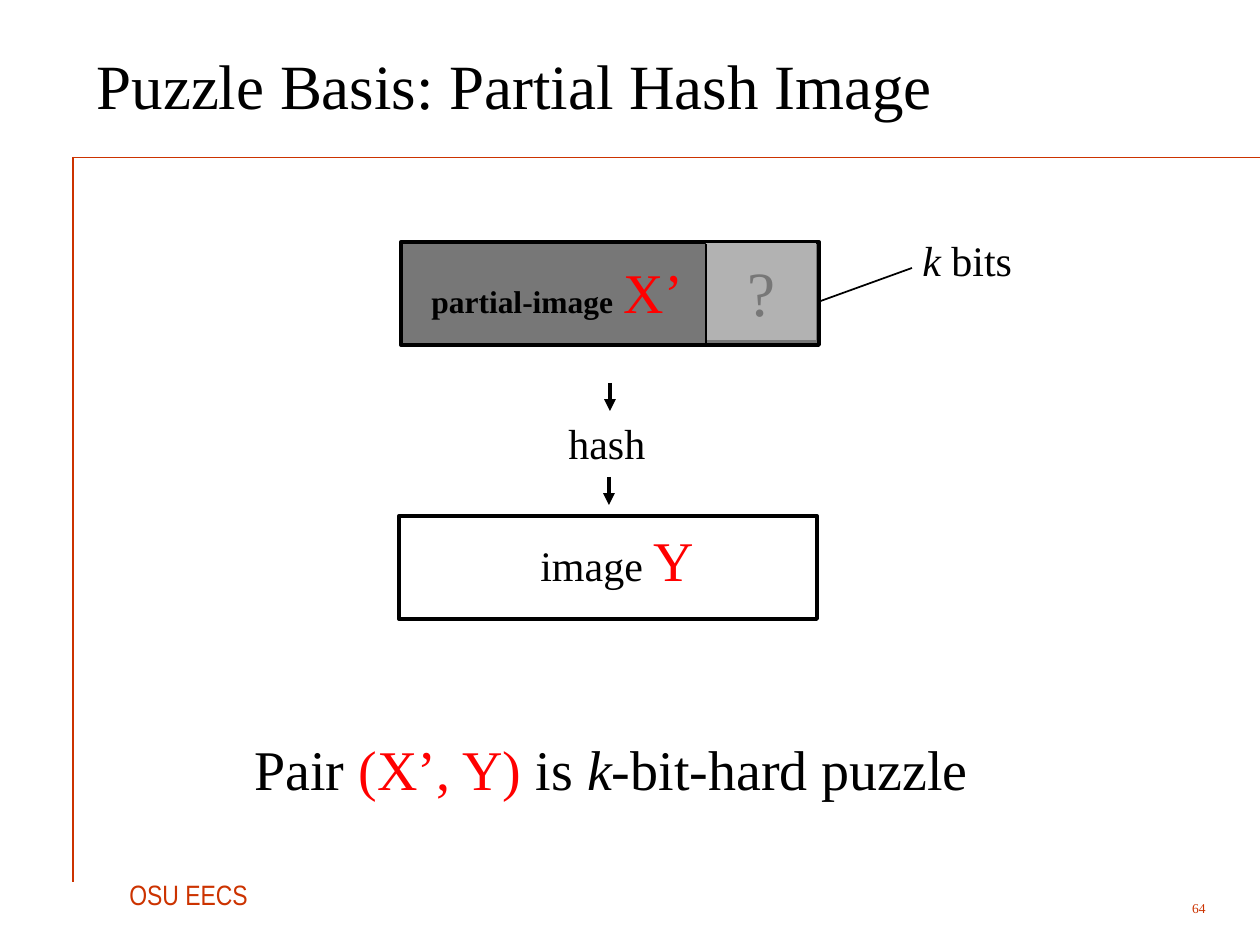
from typing import NamedTuple, Optional

from lxml import etree
from pptx import Presentation
from pptx import util as u
from pptx.dml.color import RGBColor
from pptx.enum import shapes, text
from pptx.oxml.ns import qn

PX = 914400 / 126  # EMU in one px
SERIF, NARROW = "Times New Roman", "Arial Narrow"
BLACK = RGBColor(0x00, 0x00, 0x00)
RED = RGBColor(0xFF, 0x00, 0x00)
RUST = RGBColor(0xCC, 0x33, 0x00)
DARK_GRAY = RGBColor(0x77, 0x77, 0x77)
LIGHT_GRAY = RGBColor(0xB2, 0xB2, 0xB2)


class Run(NamedTuple):
    words: str
    size: float
    color: RGBColor = BLACK
    bold: bool = False
    italic: bool = False


class Label(NamedTuple):
    place: tuple[int, int, int, int]
    runs: list[Run]
    font: str = SERIF


class Line(NamedTuple):
    start: tuple[int, int]
    end: tuple[int, int]
    width: float = 1
    color: RGBColor = BLACK
    arrow: bool = False


class Box(NamedTuple):
    place: tuple[int, int, int, int]
    fill: Optional[RGBColor] = None
    border: float = 0


RULES = [
    Line((73, 157), (1260, 157), 0.25, RUST),
    Line((73, 157), (73, 882), 0.75, RUST),
]
IMAGE_BOX = Box((399, 516, 418, 103), border=2.25)
PREIMAGE_BOX = Box((401, 242, 418, 103), DARK_GRAY, 2.25)
UNKNOWN_BOX = Box((706, 243, 110, 97), LIGHT_GRAY)
DIAGRAM_LINES = [
    Line((610, 383), (610, 411), 2.25, arrow=True),
    Line((609, 477), (609, 505), 2.25, arrow=True),
    Line((706, 244), (706, 343)),
    Line((818, 302), (912, 268)),
]
LABELS = [
    Label((117, 871, 162, 47), [Run("OSU EECS", 16, RUST)], NARROW),
    Label((556, 411, 114, 63), [Run("hash", 24)]),
    Label((528, 519, 191, 81), [Run("image ", 24), Run("Y", 32, RED)]),
    Label((419, 251, 300, 81),
          [Run("partial-image", 18, bold=True), Run(" ", 24), Run("X’", 32, RED)]),
    Label((910, 228, 127, 63), [Run("k", 24, italic=True), Run(" bits", 24)]),
    Label((242, 728, 760, 81),
          [Run("Pair ", 32), Run("(X’, Y)", 32, RED), Run(" is ", 32),
           Run("k", 32, italic=True), Run("-bit-hard puzzle", 32)]),
]


def emu(*lengths: int) -> list[u.Emu]:
    return [u.Emu(round(length * PX)) for length in lengths]


def format_font(font, name: str, size: float, color: RGBColor) -> None:
    font.name, font.size = name, u.Pt(size)
    font.color.rgb = color


def draw_line(slide, line: Line) -> None:
    connector = slide.shapes.add_connector(
        shapes.MSO_CONNECTOR.STRAIGHT, *emu(*line.start, *line.end))
    connector.line.width = u.Pt(line.width)
    connector.line.color.rgb = line.color
    if line.arrow:
        etree.SubElement(connector.line._get_or_add_ln(), qn("a:tailEnd"), type="triangle")
    etree.SubElement(connector._element.spPr, qn("a:effectLst"))


def draw_box(slide, box: Box):
    rectangle = slide.shapes.add_shape(shapes.MSO_SHAPE.RECTANGLE, *emu(*box.place))
    rectangle.shadow.inherit = False
    if box.fill is None:
        rectangle.fill.background()
    else:
        rectangle.fill.solid()
        rectangle.fill.fore_color.rgb = box.fill
    if box.border:
        rectangle.line.width = u.Pt(box.border)
        rectangle.line.color.rgb = BLACK
    else:
        rectangle.line.fill.background()
    return rectangle


def draw_label(slide, label: Label) -> None:
    """Draw a one-line label whose box is a little wider than its words."""
    frame = slide.shapes.add_textbox(*emu(*label.place)).text_frame
    frame.word_wrap = True
    paragraph = frame.paragraphs[0]
    paragraph.font.name = label.font
    for part in label.runs:
        run = paragraph.add_run()
        run.text = part.words
        format_font(run.font, label.font, part.size, part.color)
        run.font.bold, run.font.italic = part.bold, part.italic


def write_single(shape, words: str, size: float, color: RGBColor, align) -> None:
    """Write one evenly formatted, vertically centred paragraph."""
    frame = shape.text_frame
    frame.text = words
    frame.vertical_anchor = text.MSO_ANCHOR.MIDDLE
    paragraph = frame.paragraphs[0]
    paragraph.alignment = align
    format_font(paragraph.font, SERIF, size, color)


def main() -> None:
    deck = Presentation()
    deck.slide_width, deck.slide_height = emu(1260, 945)
    slide = deck.slides.add_slide(deck.slide_layouts[5])

    title = slide.shapes.title
    title.left, title.top, title.width, title.height = emu(84, 21, 1135, 126)
    write_single(title, "Puzzle Basis: Partial Hash Image", 36, BLACK, text.PP_ALIGN.LEFT)

    for rule in RULES:
        draw_line(slide, rule)
    draw_box(slide, IMAGE_BOX)
    draw_box(slide, PREIMAGE_BOX)
    unknown_bits = draw_box(slide, UNKNOWN_BOX)
    write_single(unknown_bits, "?", 36, DARK_GRAY, text.PP_ALIGN.CENTER)
    for line in DIAGRAM_LINES:
        draw_line(slide, line)
    for label in LABELS:
        draw_label(slide, label)

    page_number = slide.shapes.add_textbox(*emu(1113, 892, 105, 32))
    page_number.text_frame.word_wrap = True
    write_single(page_number, "64", 7.7, RUST, text.PP_ALIGN.RIGHT)

    deck.save("out.pptx")


if __name__ == "__main__":
    main()
